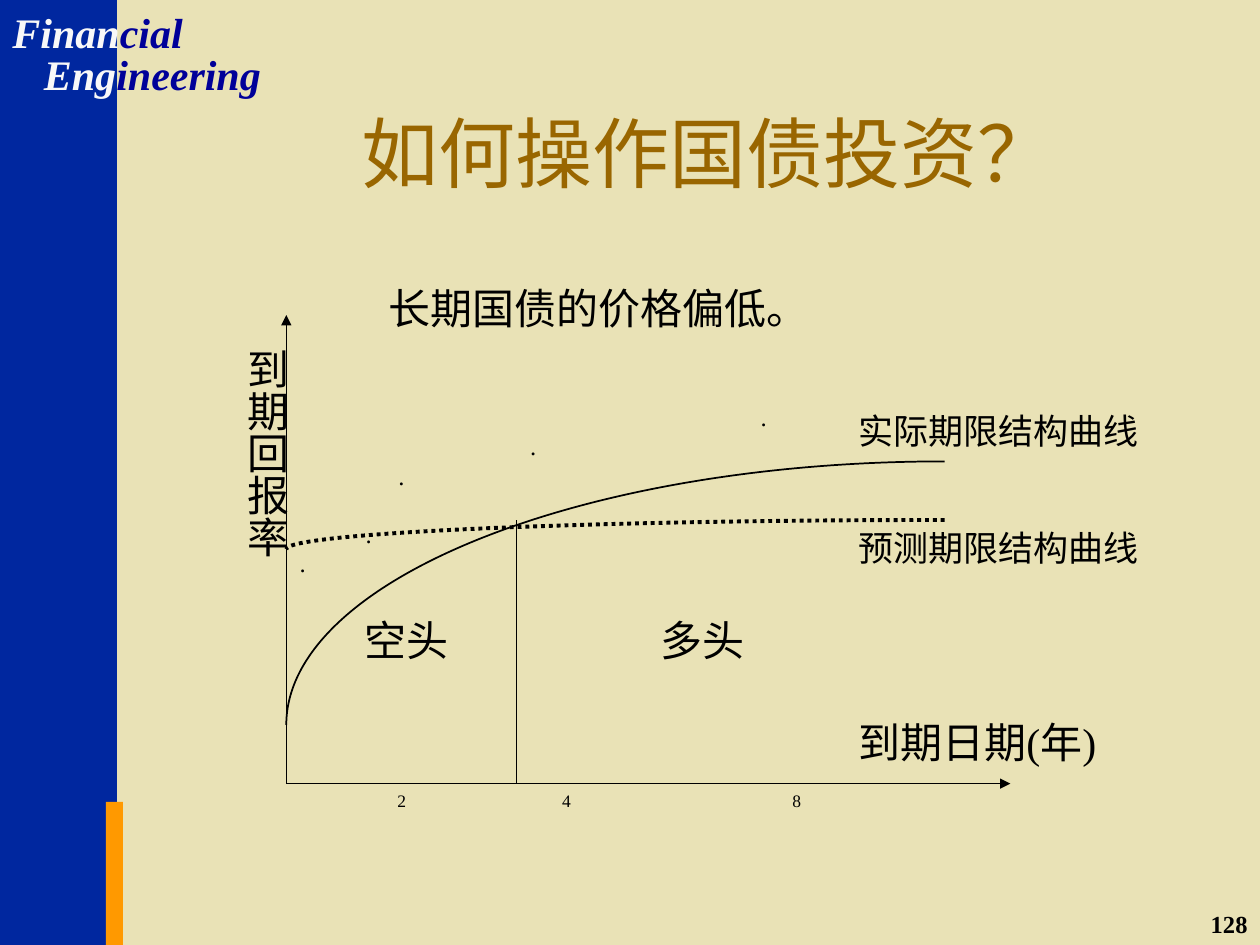
from collections import namedtuple
from dataclasses import dataclass

import pptx
import pptx.dml.color
import pptx.enum.dml
import pptx.enum.shapes
import pptx.enum.text
import pptx.oxml.ns
import pptx.util
from lxml import etree

Pt = pptx.util.Pt
qn = pptx.oxml.ns.qn
ALIGN = pptx.enum.text.PP_ALIGN
Box = namedtuple("Box", "left top width height")


def rgb(code):
    return pptx.dml.color.RGBColor.from_string(code)


@dataclass(frozen=True)
class Theme:
    font: str = "Times New Roman"
    background: str = "E9E2B6"
    band: str = "00279F"
    accent: str = "FF9900"
    brand_light: str = "F8F8F8"
    brand_dark: str = "000099"
    title: str = "996600"
    ink: str = "000000"
    title_size: int = 44
    large: int = 24
    label: int = 20
    small: int = 14
    tick: int = 10


THEME = Theme()


def add_text(slide, box, runs, size, align=ALIGN.LEFT, bold=False, italic=False, wrap=True):
    """Add a one-paragraph text box; runs is a list of (wording, colour)."""
    frame = slide.shapes.add_textbox(*map(Pt, box)).text_frame
    frame.word_wrap = wrap
    paragraph = frame.paragraphs[0]
    paragraph.alignment = align
    font = paragraph.font
    font.name, font.size, font.bold, font.italic = THEME.font, Pt(size), bold, italic
    for wording, colour in runs:
        run = paragraph.add_run()
        run.text = wording
        run.font.color.rgb = rgb(colour)
    return frame


def add_block(slide, box, colour):
    block = slide.shapes.add_shape(pptx.enum.shapes.MSO_SHAPE.RECTANGLE, *map(Pt, box))
    block.shadow.inherit = False
    block.fill.solid()
    block.fill.fore_color.rgb = rgb(colour)
    block.line.fill.background()


def add_line(slide, start, end, arrow=False):
    line = slide.shapes.add_connector(
        pptx.enum.shapes.MSO_CONNECTOR.STRAIGHT, *map(Pt, start + end))
    line.line.color.rgb = rgb(THEME.ink)
    line.line.width = Pt(0.75)
    if arrow:
        outline = line.line._get_or_add_ln()
        etree.SubElement(outline, qn("a:tailEnd"), type="triangle")
    etree.SubElement(line._element.spPr, qn("a:effectLst"))


def add_curve(slide, box, width, dash=None):
    """Draw the upper left quarter of an ellipse filling the box, as one Bezier segment."""
    right, bottom = box.left + box.width, box.top + box.height
    builder = slide.shapes.build_freeform(Pt(right), Pt(box.top))
    builder.add_line_segments([(Pt(box.left), Pt(bottom))], close=False)
    curve = builder.convert_to_shape()

    segment = next(curve._element.iter(qn("a:lnTo")))
    segment.tag = qn("a:cubicBezTo")
    handle = 0.45  # share of the side left between a control point and the corner
    controls = [(box.width * handle, 0), (0, box.height * handle)]
    for index, (x, y) in enumerate(controls):
        point = etree.Element(qn("a:pt"), x=str(Pt(x)), y=str(Pt(y)))
        segment.insert(index, point)

    curve.shadow.inherit = False
    curve.fill.background()
    curve.line.color.rgb = rgb(THEME.ink)
    curve.line.width = Pt(width)
    if dash:
        curve.line.dash_style = dash


def add_sidebar(slide, box):
    band_width = 66.8
    add_block(slide, Box(box.left, box.top, band_width, box.height), THEME.band)
    accent_height = 81.8
    add_block(slide, Box(box.left + 60.5, box.top + box.height - accent_height,
                         9.8, accent_height), THEME.accent)
    course_name = [("Finan", "cial", 0, 0, 111.6), ("Eng", "ineering", 18, 24, 138.2)]
    for on_band, off_band, x, y, width in course_name:
        add_text(slide, Box(box.left + x, box.top + y, width, 36),
                 [(on_band, THEME.brand_light), (off_band, THEME.brand_dark)],
                 THEME.large, bold=True, italic=True, wrap=False)


def add_title(slide, box):
    frame = add_text(slide, box, [("如何操作国债投资？", THEME.title)],
                     THEME.title_size, ALIGN.CENTER)
    frame.vertical_anchor = pptx.enum.text.MSO_ANCHOR.MIDDLE


def add_page_number(slide, box):
    add_text(slide, box, [("128", THEME.ink)], THEME.small, ALIGN.RIGHT, bold=True)


def add_yield_diagram(slide, box):
    """Place the diagram on a grid of 22 columns and 16 rows inside the box."""
    columns, rows = 22, 16

    def at(column, row):
        return (box.left + box.width * column / columns,
                box.top + box.height * row / rows)

    def cells(column, row, column_span, row_span):
        return Box(*at(column, row), box.width * column_span / columns,
                   box.height * row_span / rows)

    def add_label(wording, size, *place, align=ALIGN.JUSTIFY):
        return add_text(slide, cells(*place), [(wording, THEME.ink)], size, align)

    origin = at(0, rows)
    add_line(slide, origin, at(columns, rows), arrow=True)
    add_line(slide, origin, at(0, 0), arrow=True)

    for place in [(2, 7, 3, 6), (0, 8, 5, 5), (3, 5, 4, 5), (7, 4, 3, 4), (14, 3, 3, 4)]:
        add_label("·", THEME.small, *place)
    add_curve(slide, cells(0, 5, 20, 9), 1)

    yield_axis = add_label("到期回报率", THEME.large, -2.62, 0.73, 3, 11, align=ALIGN.CENTER)
    yield_axis._txBody.bodyPr.set("vert", "eaVert")
    yield_axis.margin_left = yield_axis.margin_right = Pt(3.6)
    yield_axis.margin_top = yield_axis.margin_bottom = Pt(7.2)

    add_label("到期日期(年)", THEME.large, 17, 13.5, 9, 3)
    for year, column in [("2", 3), ("4", 8), ("8", 15)]:
        add_label(year, THEME.tick, column, rows, 3, 3)

    add_curve(slide, cells(0, 7, 20, 1), 2.25, pptx.enum.dml.MSO_LINE.ROUND_DOT)
    add_line(slide, at(7, 7), at(7, rows))

    add_label("实际期限结构曲线", THEME.label, 17, 3, 10, 3)
    add_label("预测期限结构曲线", THEME.label, 17, 7, 11, 3)
    add_label("多头", THEME.large, 11, 10, 7, 3)
    add_label("空头", THEME.large, 2, 10, 5, 4)

    add_text(slide, Box(box.left + 51.2, box.top - 22.3, 254, 36),
             [("长期国债的价格偏低。", THEME.ink)], THEME.large, wrap=False)


def main():
    deck = pptx.Presentation()
    deck.slide_width, deck.slide_height = Pt(720), Pt(540)
    slide = deck.slides.add_slide(deck.slide_layouts[6])
    slide.background.fill.solid()
    slide.background.fill.fore_color.rgb = rgb(THEME.background)

    add_sidebar(slide, Box(0, 0, 156, 540))
    add_page_number(slide, Box(570, 516, 150, 36))
    add_title(slide, Box(108, 41.5, 594, 90))
    add_yield_diagram(slide, Box(163.6, 180, 413.8, 267.8))
    deck.save("out.pptx")


if __name__ == "__main__":
    main()
